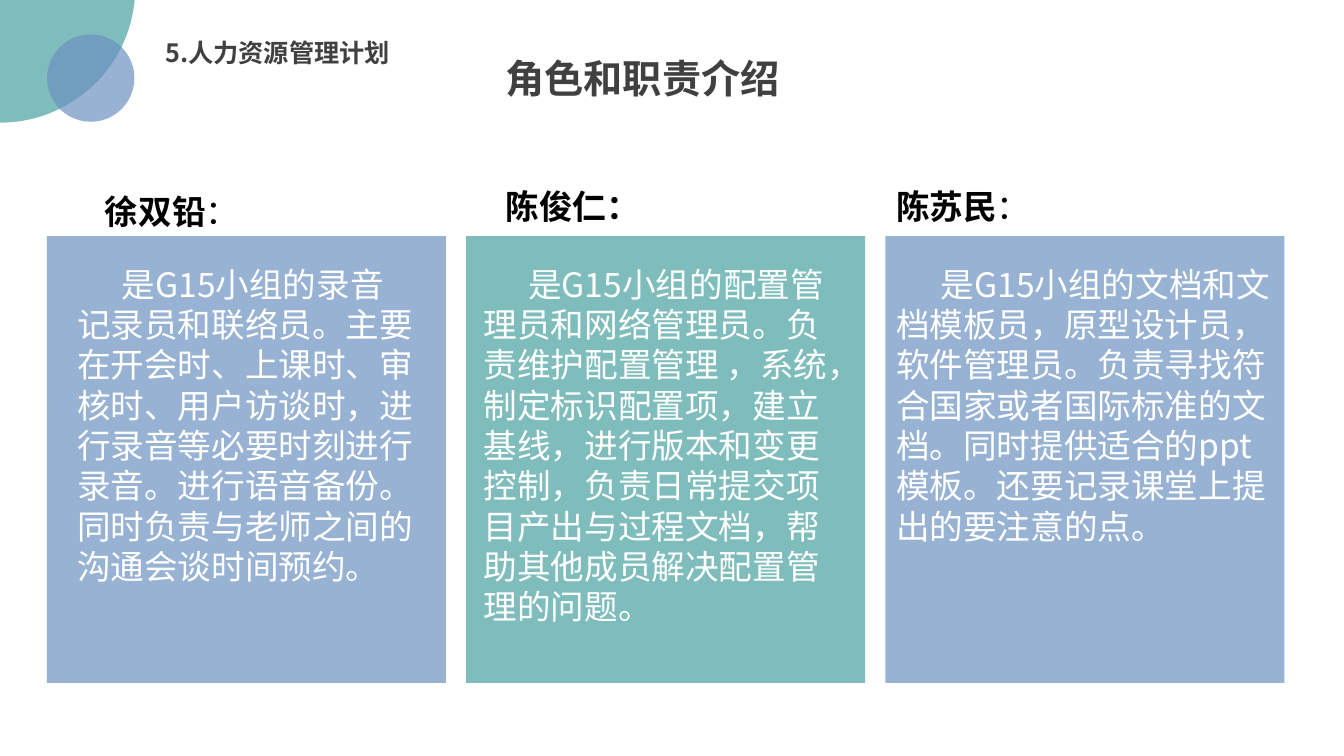
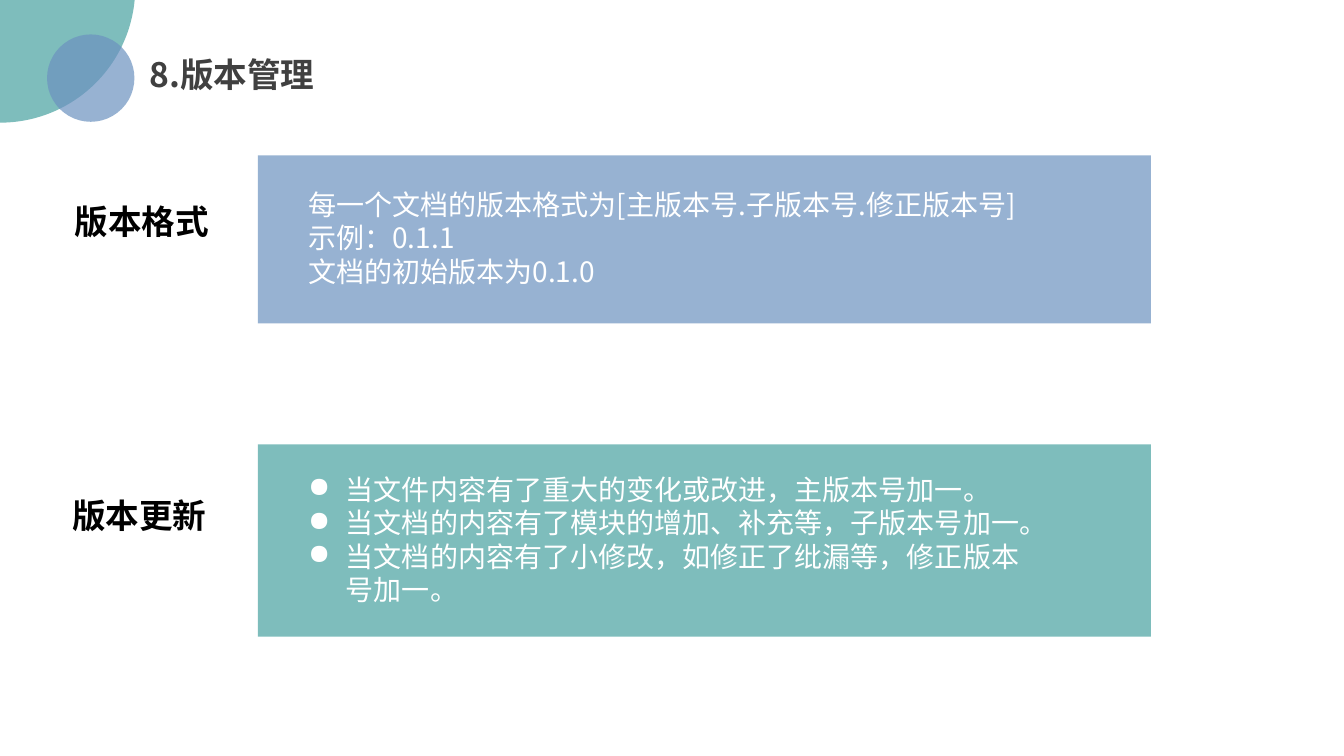
from dataclasses import dataclass

from lxml import etree
from pptx import Presentation
from pptx.dml.color import RGBColor
from pptx.enum.shapes import MSO_SHAPE
from pptx.enum.text import MSO_ANCHOR
from pptx.oxml.ns import qn
from pptx.slide import Slide
from pptx.util import Inches, Pt

RECT, OVAL = MSO_SHAPE.RECTANGLE, MSO_SHAPE.OVAL
TOP = MSO_ANCHOR.TOP
WIDE, HIGH = Inches(13.33), Inches(7.5)
COLS, ROWS = 160, 90
FACE = "Noto Sans CJK SC"
TEAL, BLUE = "48A2A0", "6C92C0"
GREY, BLACK, WHITE = "404040", "000000", "FFFFFF"
ALPHA = "70000"

HEAD = {"size": Pt(28), "bold": True}
CRUMB = {"size": Pt(18), "bold": True}
NAME = {"size": Pt(24), "bold": True}
BODY = {"size": Pt(24), "bold": False}
NOTE = {"size": Pt(20), "bold": False}
FRAME = {"word_wrap": True, "vertical_anchor": TOP}

LEFT, CARD_W, GAP = 5.6, 47.5, 2.4
CARD_Y, CARD_H = 28.1, 53.2
BAR_X, BAR_W, NOTE_X = 30.7, 106.3, 35.5
DENT, HANG = 5.3, 4.5


@dataclass
class Box:
    x: float
    y: float
    w: float
    h: float

    def place(self) -> tuple[int, int, int, int]:
        return (col(self.x), row(self.y), col(self.w), row(self.h))


@dataclass
class Card:
    name: str
    colon: dict
    text: str
    tone: str
    name_dx: float
    name_y: float
    text_dx: float
    text_w: float


@dataclass
class Bar:
    label: str
    lines: list[str]
    tone: str
    y: float
    h: float
    label_x: float
    label_y: float
    note_y: float
    note_w: float
    mark: str = ""


CARDS = [
    Card("徐双铅", BODY,
         "是G15小组的录音记录员和联络员。主要在开会时、上课时、审核时、用户访谈时，"
         "进行录音等必要时刻进行录音。进行语音备份。同时负责与老师之间的沟通会谈时间预约。",
         BLUE, 5.7, 22.1, 2.4, 42.5),
    Card("陈俊仁", NAME,
         "是G15小组的配置管理员和网络管理员。负责维护配置管理 ，系统，制定标识配置项，"
         "建立基线，进行版本和变更控制，负责日常提交项目产出与过程文档，"
         "帮助其他成员解决配置管理的问题。",
         TEAL, 3.5, 21.5, 0.9, 45.6),
    Card("陈苏民", BODY,
         "是G15小组的文档和文档模板员，原型设计员，软件管理员。负责寻找符合国家或者"
         "国际标准的文档。同时提供适合的ppt模板。还要记录课堂上提出的要注意的点。",
         BLUE, 0.1, 21.5, 0.1, 47.4),
]

BARS = [
    Bar("版本格式",
        ["每一个文档的版本格式为[主版本号.子版本号.修正版本号]",
         "示例：0.1.1",
         "文档的初始版本为0.1.0"],
        BLUE, 18.5, 20, 7.7, 23.3, 21.7, 94.8),
    Bar("版本更新",
        ["当文件内容有了重大的变化或改进，主版本号加一。",
         "当文档的内容有了模块的增加、补充等，子版本号加一。",
         "当文档的内容有了小修改，如修正了纰漏等，修正版本号加一。"],
        TEAL, 52.9, 22.9, 7.4, 58.3, 55.6, 89.3, "●"),
]


def col(num: float) -> int:
    return round(WIDE * num / COLS)


def row(num: float) -> int:
    return round(HIGH * num / ROWS)


def tint(text: str) -> RGBColor:
    return RGBColor.from_string(text)


def apply(item: object, form: dict) -> None:
    for key, value in form.items():
        setattr(item, key, value)


def block(slide: Slide, kind: MSO_SHAPE, box: Box, tone: str) -> None:
    shape = slide.shapes.add_shape(kind, *box.place())
    shape.shadow.inherit = False
    shape.fill.solid()
    shape.fill.fore_color.rgb = tint(tone)
    shape.line.fill.background()
    for node in shape._element.spPr.iter(qn("a:srgbClr")):
        etree.SubElement(node, qn("a:alpha")).set("val", ALPHA)


def write(slide: Slide, box: Box, lines: list[list[tuple[str, dict]]],
          tone: str, dent: float = 0, mark: str = "") -> None:
    frame = slide.shapes.add_textbox(*box.place()).text_frame
    apply(frame, FRAME)
    for pos, parts in enumerate(lines):
        para = frame.add_paragraph() if pos else frame.paragraphs[0]
        props = para._p.get_or_add_pPr()
        if mark:
            props.set("marL", str(col(HANG)))
            props.set("indent", str(-col(HANG)))
            etree.SubElement(props, qn("a:buChar")).set("char", mark)
        elif dent:
            props.set("indent", str(col(dent)))
        for text, form in parts:
            run = para.add_run()
            run.text = text
            apply(run.font, form | {"name": FACE})
            run.font.color.rgb = tint(tone)
            style = run._r.get_or_add_rPr()
            style.set("lang", "zh-CN")
            etree.SubElement(style, qn("a:ea")).set("typeface", FACE)


def discs(slide: Slide) -> None:
    block(slide, OVAL, Box(-16.1, -17.6, 32.2, 32.2), TEAL)
    block(slide, OVAL, Box(LEFT, 4.1, 10.4, 10.4), BLUE)


def roles(slide: Slide) -> None:
    discs(slide)
    write(slide, Box(18.5, 3.8, 31, 4.8), [[("5.人力资源管理计划", CRUMB)]], GREY)
    write(slide, Box(59, 5.9, 36, 6.8), [[("角色和职责介绍", HEAD)]], GREY)
    for pos, card in enumerate(CARDS):
        x = LEFT + pos * (CARD_W + GAP)
        block(slide, RECT, Box(x, CARD_Y, CARD_W, CARD_H), card.tone)
        write(slide, Box(x + card.name_dx, card.name_y, 21, 6),
              [[(card.name, NAME), ("：", card.colon)]], BLACK)
        write(slide, Box(x + card.text_dx, 30.8, card.text_w, 45),
              [[(card.text, BODY)]], WHITE, DENT)


def rules(slide: Slide) -> None:
    discs(slide)
    write(slide, Box(16.6, 5.8, 22.6, 10.9), [[("8.版本管理", NAME)]], GREY)
    for bar in BARS:
        block(slide, RECT, Box(BAR_X, bar.y, BAR_W, bar.h), bar.tone)
        write(slide, Box(bar.label_x, bar.label_y, 19, 6),
              [[(bar.label, NAME)]], BLACK)
        write(slide, Box(NOTE_X, bar.note_y, bar.note_w, 17.4),
              [[(line, NOTE)] for line in bar.lines], WHITE, mark=bar.mark)


def main() -> None:
    deck = Presentation()
    apply(deck, {"slide_width": WIDE, "slide_height": HIGH})
    for draw in (roles, rules):
        draw(deck.slides.add_slide(deck.slide_layouts[6]))
    deck.save("out.pptx")


if __name__ == "__main__":
    main()
